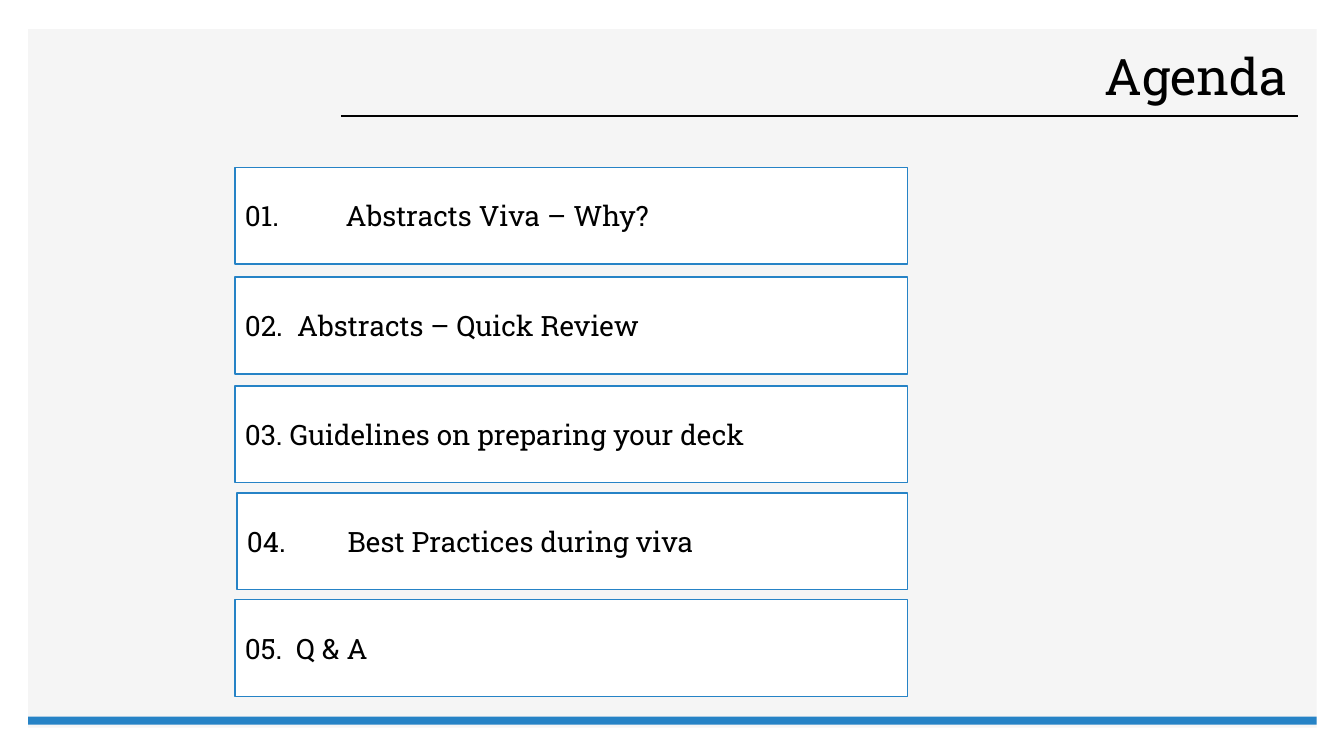
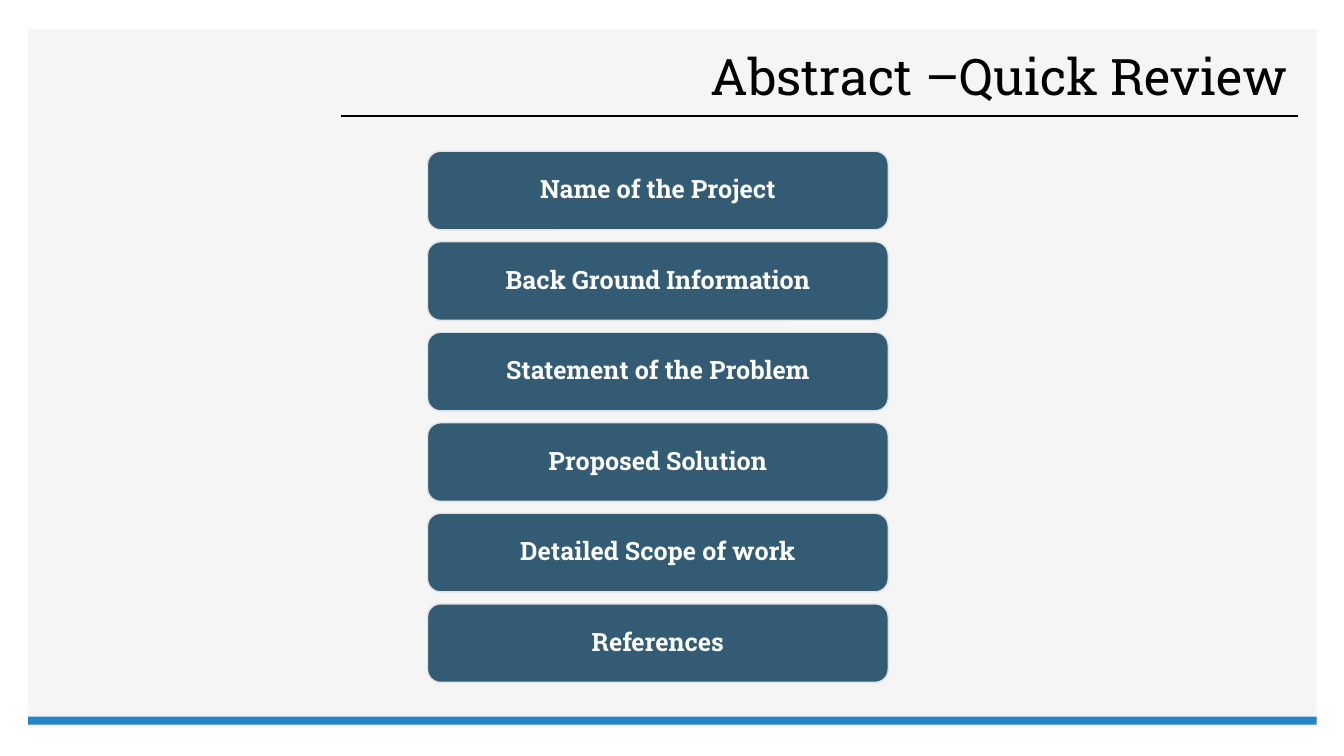
from pptx import Presentation
from pptx.dml.color import RGBColor
from pptx.enum.shapes import MSO_CONNECTOR, MSO_SHAPE
from pptx.enum.text import MSO_ANCHOR, PP_ALIGN
from pptx.oxml.ns import qn
from pptx.util import Inches, Pt
from lxml import etree

RECTANGLE, ROUNDED = MSO_SHAPE.RECTANGLE, MSO_SHAPE.ROUNDED_RECTANGLE
STRAIGHT = MSO_CONNECTOR.STRAIGHT
MIDDLE = MSO_ANCHOR.MIDDLE
LEFT, CENTER, RIGHT = PP_ALIGN.LEFT, PP_ALIGN.CENTER, PP_ALIGN.RIGHT

FONT = "Roboto Slab"
BLACK, WHITE = "000000", "FFFFFF"
PANEL, ACCENT = "F5F5F5", "2683C6"
SLATE, PALE = "335B74", "DFE3E5"
TITLE_ONLY = 5

# Text, left, top, width and tab stop of each agenda row
AGENDA = [
    ("01.\tAbstracts Viva – Why?", 2.33, 1.66, 6.67, 1.0),
    ("02.\tAbstracts – Quick Review", 2.33, 2.75, 6.67, 0.52),
    ("03. Guidelines on preparing your deck", 2.33, 3.83, 6.67, None),
    ("04.\tBest Practices during viva", 2.35, 4.89, 6.65, 1.0),
    ("05.\tQ & A", 2.33, 5.95, 6.67, 0.51),
]
SECTIONS = [
    "Name of the Project", "Back Ground Information",
    "Statement of the Problem", "Proposed Solution",
    "Detailed Scope of work", "References",
]


def color(value):
    return RGBColor.from_string(value)


def add_box(slide, kind, box, fill, line=None):
    shape = slide.shapes.add_shape(kind, *map(Inches, box))
    shape.shadow.inherit = False
    shape.fill.solid()
    shape.fill.fore_color.rgb = color(fill)
    if line:
        shape.line.color.rgb = color(line)
        shape.line.width = Pt(1)
    else:
        shape.line.fill.background()
    return shape


def add_tab_stop(para, position):
    tabs = etree.SubElement(para._p.get_or_add_pPr(), qn("a:tabLst"))
    etree.SubElement(tabs, qn("a:tab"), pos=str(Inches(position)), algn="l")


def write(shape, text, size, ink, align, bold=False, spacing=None, tab=None):
    frame = shape.text_frame
    frame.word_wrap = True
    frame.vertical_anchor = MIDDLE
    frame.text = text
    para = frame.paragraphs[0]
    para.alignment = align
    if spacing:
        para.line_spacing = spacing
    if tab:
        add_tab_stop(para, tab)
    for span in para.runs:
        span.font.name = FONT
        span.font.size = Pt(size)
        span.font.bold = bold
        span.font.color.rgb = color(ink)


def build_layout(layout, slide):
    """Give the layout its panel, title rule, bottom band and title place."""
    panel = add_box(slide, RECTANGLE, (0.28, 0.29, 12.78, 6.93), PANEL)
    rule = slide.shapes.add_connector(
        STRAIGHT, Inches(3.38), Inches(1.15), Inches(12.87), Inches(1.15))
    rule.line.color.rgb = color(BLACK)
    rule.line.width = Pt(1)
    etree.SubElement(rule.element.spPr, qn("a:effectLst"))
    band = add_box(slide, RECTANGLE, (0.28, 7.11, 12.78, 0.08), ACCENT)
    # The parts belong behind every placeholder of the layout
    for index, part in enumerate((panel, rule, band)):
        layout.shapes.element.insert(2 + index, part.element)

    title = next(item for item in layout.placeholders
                 if item.placeholder_format.idx == 0)
    title.left, title.top = Inches(3.7), Inches(0.42)
    title.width, title.height = Inches(9.17), Inches(0.73)


def set_title(slide, text):
    write(slide.shapes.title, text, 36, BLACK, RIGHT, spacing=0.9)


def add_agenda(slide, rows, height):
    for text, left, top, width, tab in rows:
        row = add_box(slide, RECTANGLE, (left, top, width, height),
                      WHITE, ACCENT)
        write(row, text, 20, BLACK, LEFT, tab=tab)


def add_section_stack(slide, names, box, bar_height):
    """Spread the bars evenly from the top to the bottom of the box."""
    left, top, width, height = box
    pitch = (height - bar_height) / (len(names) - 1)
    for index, name in enumerate(names):
        bar = add_box(slide, ROUNDED,
                      (left, top + index * pitch, width, bar_height),
                      SLATE, PALE)
        write(bar, name, 18, WHITE, CENTER, bold=True, spacing=0.9)


def main():
    deck = Presentation()
    deck.slide_width, deck.slide_height = Inches(13.33), Inches(7.5)
    layout = deck.slide_layouts[TITLE_ONLY]

    # Agenda
    agenda = deck.slides.add_slide(layout)
    build_layout(layout, agenda)
    set_title(agenda, "Agenda")
    add_agenda(agenda, AGENDA, 0.96)

    # Parts of an abstract
    review = deck.slides.add_slide(layout)
    set_title(review, "Abstract –Quick Review")
    add_section_stack(review, SECTIONS, (4.24, 1.5, 4.57, 5.27), 0.78)

    deck.save("out.pptx")


if __name__ == "__main__":
    main()
